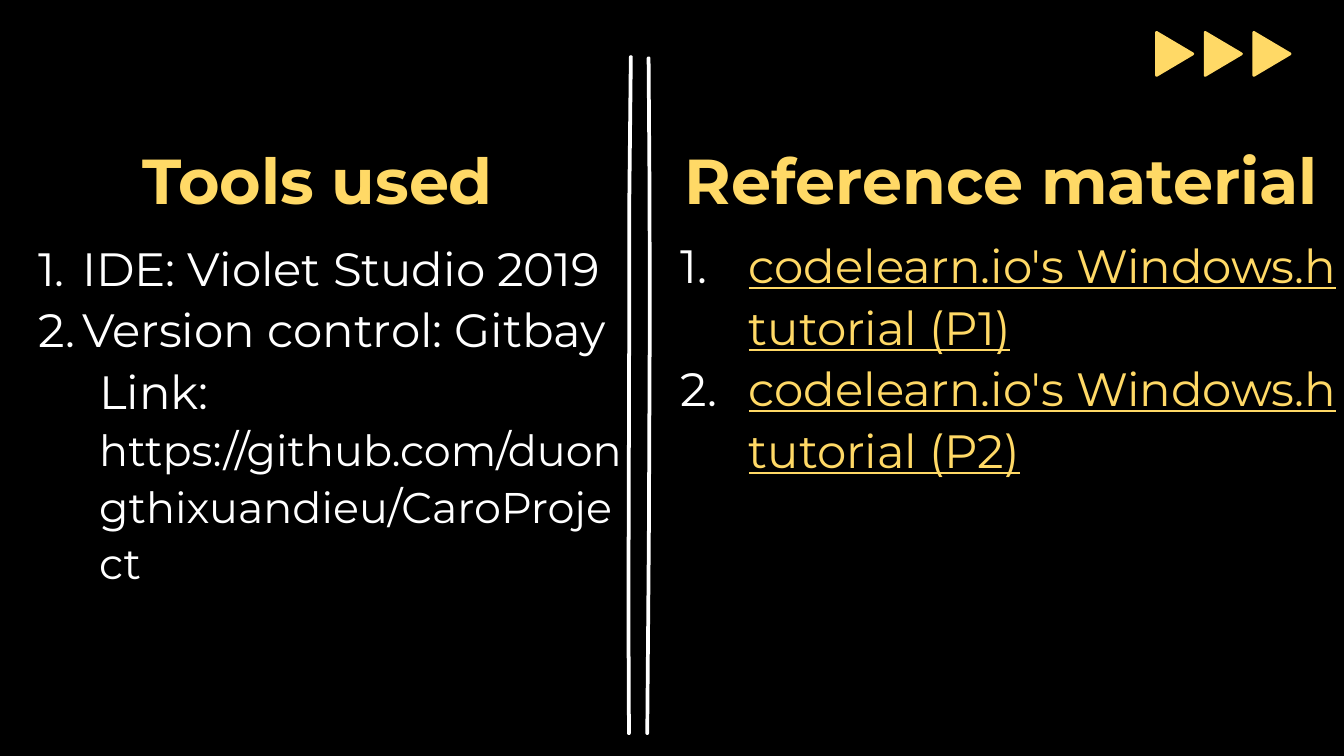
from dataclasses import dataclass
from math import cos, pi, sin

from lxml import etree
from pptx import Presentation
from pptx import util as u
from pptx.dml.color import RGBColor
from pptx.enum import shapes, text
from pptx.oxml.ns import qn

BLACK = RGBColor(0x00, 0x00, 0x00)
WHITE = RGBColor(0xFF, 0xFF, 0xFF)
YELLOW = RGBColor(0xFF, 0xD9, 0x66)
FONT = "Montserrat"
CELL = 0.1  # grid cell in inches: 100 columns across a 16:9 slide


def cells(count: float) -> u.Length:
    return u.Inches(count * CELL)


@dataclass(frozen=True)
class Area:
    column: float
    row: float
    columns: float
    rows: float

    def lengths(self) -> list[u.Length]:
        return [cells(n) for n in (self.column, self.row, self.columns, self.rows)]


@dataclass(frozen=True)
class Words:
    content: str
    size: float = 25
    color: RGBColor = WHITE
    bold: bool = False
    underline: bool = False


@dataclass(frozen=True)
class Entry:
    words: tuple[Words, ...]
    margin: float
    indent: float = 0
    numbered: bool = True


def add_words(para, words: Words) -> None:
    span = para.add_run()
    span.text = words.content
    font = span.font
    font.name, font.size = FONT, u.Pt(words.size)
    font.bold, font.underline = words.bold, words.underline
    font.color.rgb = words.color


def add_box(page, area: Area):
    box = page.shapes.add_textbox(*area.lengths())
    box.text_frame.word_wrap = True
    return box


def add_heading(page, area: Area, title: str) -> None:
    para = add_box(page, area).text_frame.paragraphs[0]
    para.alignment = text.PP_ALIGN.CENTER
    add_words(para, Words(title, 34, YELLOW, bold=True))


def add_list(page, area: Area, entries: list[Entry]) -> None:
    frame = add_box(page, area).text_frame
    for index, entry in enumerate(entries):
        para = frame.add_paragraph() if index else frame.paragraphs[0]
        para.line_spacing = 1.1
        properties = para._p.get_or_add_pPr()
        properties.set("marL", str(cells(entry.margin)))
        properties.set("indent", str(cells(entry.indent)))
        if entry.numbered:
            color = etree.SubElement(properties, qn("a:buClr"))
            etree.SubElement(color, qn("a:srgbClr")).set("val", str(WHITE))
            etree.SubElement(properties, qn("a:buFont")).set("typeface", FONT)
            number = etree.SubElement(properties, qn("a:buAutoNum"))
            number.set("type", "arabicPeriod")
        for words in entry.words:
            add_words(para, words)


def add_arrow(page, area: Area) -> None:
    arrow = page.shapes.add_shape(shapes.MSO_SHAPE.ISOSCELES_TRIANGLE, *area.lengths())
    arrow.rotation = 90
    arrow.shadow.inherit = False
    arrow.fill.solid()
    arrow.fill.fore_color.rgb = YELLOW
    arrow.line.color.rgb = YELLOW
    arrow.line.width = u.Pt(1.5)
    etree.SubElement(arrow.line._get_or_add_ln(), qn("a:round"))


def add_stroke(page, centres: list[tuple[float, float]], half: float = 0.14) -> None:
    """Draw a thin hand-drawn stroke with round ends along its centre line."""
    turns = [pi * step / 6 for step in range(7)]
    (top_x, top_y), (end_x, end_y) = centres[0], centres[-1]
    outline = [(top_x - half * cos(t), top_y - half * sin(t)) for t in turns]
    outline += [(x + half, y) for x, y in centres[1:-1]]
    outline += [(end_x + half * cos(t), end_y + half * sin(t)) for t in turns]
    outline += [(x - half, y) for x, y in reversed(centres[1:-1])]
    points = [(cells(x), cells(y)) for x, y in outline]
    builder = page.shapes.build_freeform(*points[0])
    builder.add_line_segments(points[1:], close=True)
    stroke = builder.convert_to_shape()
    stroke.shadow.inherit = False
    stroke.fill.solid()
    stroke.fill.fore_color.rgb = WHITE
    stroke.line.fill.background()


def main() -> None:
    deck = Presentation()
    deck.slide_width = u.Inches(10)
    deck.slide_height = deck.slide_width * 9 // 16
    page = deck.slides.add_slide(deck.slide_layouts[6])
    page.background.fill.solid()
    page.background.fill.fore_color.rgb = BLACK

    # Row of arrows in the corner
    for index in range(3):
        add_arrow(page, Area(85.8 + 3.62 * index, 2.66, 3.2, 2.7))

    # Double divider
    add_stroke(page, [(46.94, 4.25), (46.82, 15.5), (46.82, 23.8),
                      (46.76, 45.5), (46.8, 54.55)])
    add_stroke(page, [(48.26, 4.35), (48.33, 14), (48.35, 23.4),
                      (48.28, 40), (48.16, 54.55)])

    # Tools column
    add_heading(page, Area(0, 10, 47.3, 6.7), "Tools used")
    add_list(page, Area(1.4, 16.92, 46.4, 27.3), [
        Entry((Words("IDE: Violet Studio 2019"),), 3.75, -3.3),
        Entry((Words("Version control: Gitbay"),), 3.75, -3.3),
        Entry((Words("Link: "),
               Words("https://github.com/duongthixuandieu/CaroProject", 23)),
              5, numbered=False),
    ])

    # Reference column
    add_heading(page, Area(49.1, 10, 50.8, 6.7), "Reference material")
    add_list(page, Area(49.13, 16.72, 64.2, 19.1), [
        Entry((Words(f"codelearn.io's Windows.h tutorial (P{part})",
                     color=YELLOW, underline=True),), 5.6, -5.1)
        for part in (1, 2)
    ])

    deck.save("out.pptx")


if __name__ == "__main__":
    main()
